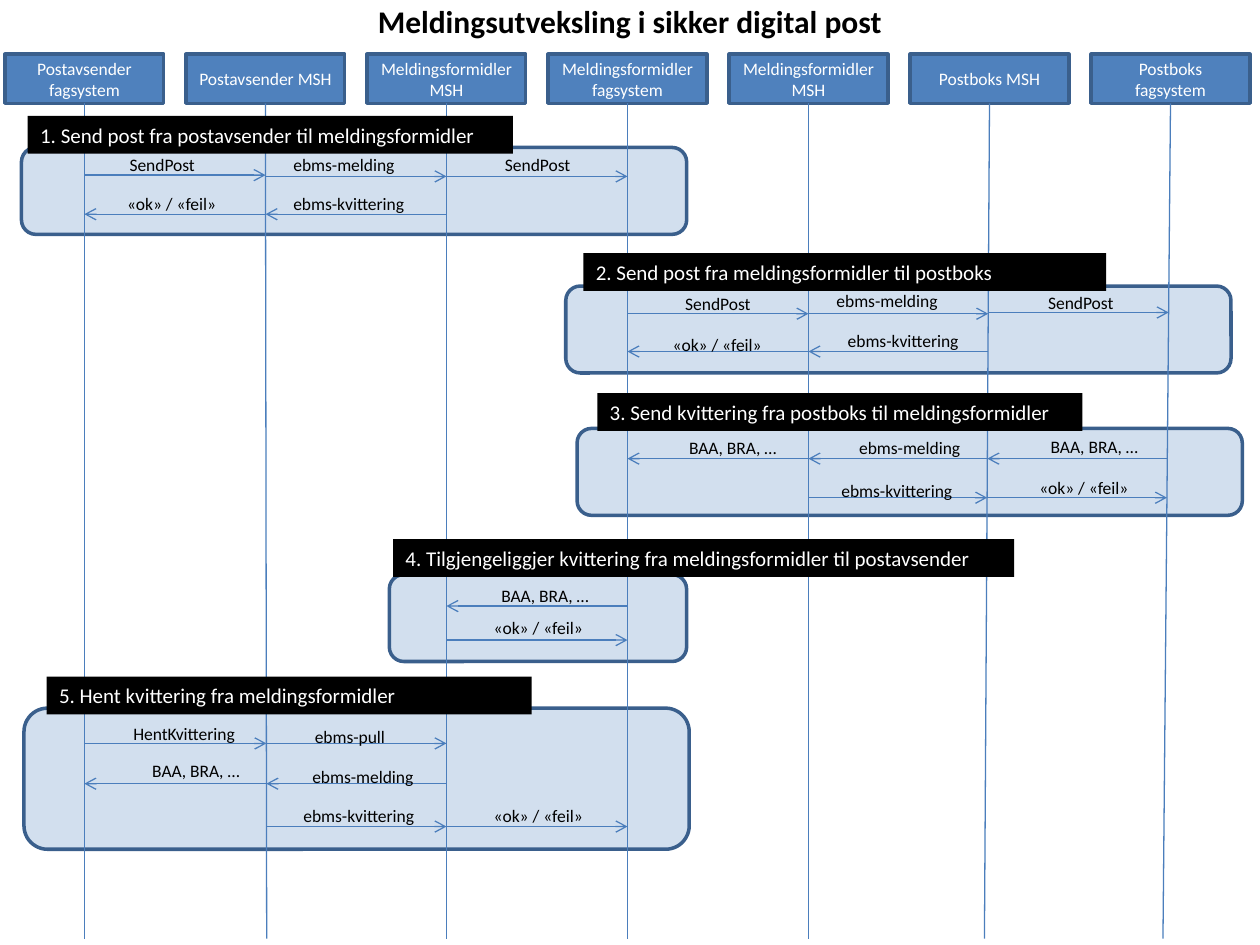
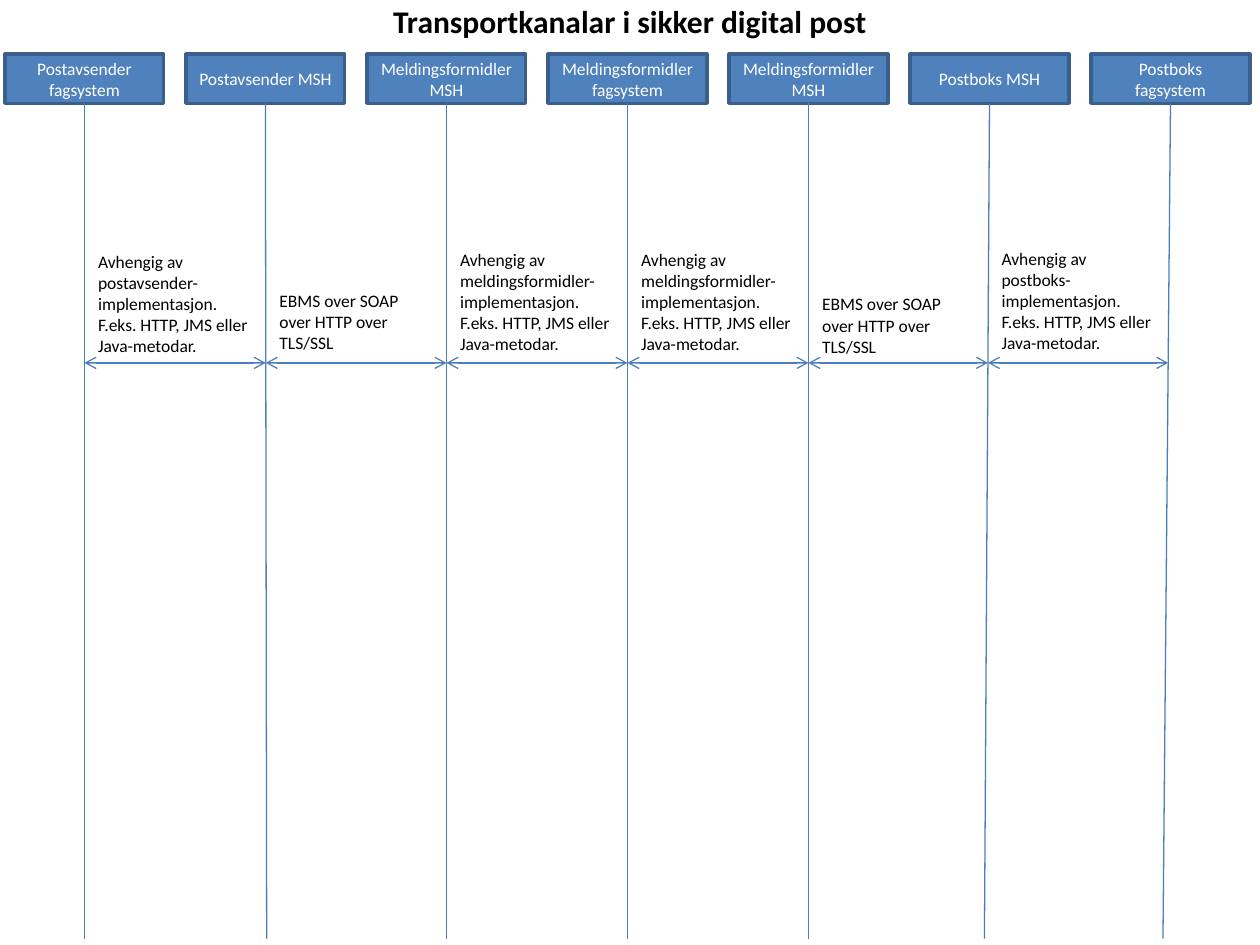
"""Build two sequence diagrams about secure digital post."""
from collections import namedtuple

from lxml.etree import SubElement
from pptx import Presentation
from pptx.dml.color import RGBColor
from pptx.enum.shapes import MSO_CONNECTOR as Connector, MSO_SHAPE as Shape
from pptx.enum.text import MSO_ANCHOR as Anchor, MSO_AUTO_SIZE as AutoSize, PP_ALIGN as Align
from pptx.oxml.ns import qn
from pptx.util import Inches, Pt

COLOURS = {
    "box": "4F81BD",
    "border": "3A5F8C",
    "line": "4B7EBC",
    "black": "000000",
    "white": "FFFFFF",
}
FONT = "Calibri"
PANEL_ALPHA = 25

LANES = [
    "Postavsender fagsystem",
    "Postavsender MSH",
    "Meldingsformidler MSH",
    "Meldingsformidler fagsystem",
    "Meldingsformidler MSH",
    "Postboks MSH",
    "Postboks fagsystem",
]
LANE_PITCH = 8.62 / 6
LANE_LEFT = 0.67
LANE_TOP, LANE_BOTTOM = 0.82, 7.45
LANE_DRIFT = [0, 0.01, 0, 0, 0, -0.04, -0.06]
HEADER_LEFT, HEADER_TOP = 0.04, 0.43
HEADER_WIDTH, HEADER_HEIGHT = 1.26, 0.39

Section = namedtuple("Section", "title bar panel messages")
Message = namedtuple("Message", "start end y text left top")

SECTIONS = [
    Section("1. Send post fra postavsender til meldingsformidler",
            (0.22, 0.92, 3.85), (0.17, 1.17, 5.28, 0.69), [
                Message(0, 1, 1.39, "SendPost", 0.93, 1.17),
                Message(1, 2, 1.4, "ebms-melding", 2.23, 1.17),
                Message(2, 3, 1.4, "SendPost", 3.91, 1.17),
                Message(2, 1, 1.7, "ebms-kvittering", 2.23, 1.48),
                Message(1, 0, 1.7, "«ok» / «feil»", 0.91, 1.48),
            ]),
    Section("2. Send post fra meldingsformidler til postboks",
            (4.63, 2.01, 4.15), (4.49, 2.27, 5.28, 0.69), [
                Message(3, 4, 2.49, "SendPost", 5.34, 2.28),
                Message(4, 5, 2.49, "ebms-melding", 6.54, 2.25),
                Message(5, 6, 2.48, "SendPost", 8.22, 2.27),
                Message(5, 4, 2.79, "ebms-kvittering", 6.63, 2.57),
                Message(4, 3, 2.79, "«ok» / «feil»", 5.24, 2.6),
            ]),
    Section("3. Send kvittering fra postboks til meldingsformidler",
            (4.74, 3.12, 3.85), (4.58, 3.4, 5.28, 0.69), [
                Message(6, 5, 3.64, "BAA, BRA, …", 8.24, 3.41),
                Message(5, 4, 3.64, "ebms-melding", 6.72, 3.42),
                Message(4, 3, 3.64, "BAA, BRA, …", 5.37, 3.42),
                Message(4, 5, 3.95, "ebms-kvittering", 6.58, 3.76),
                Message(5, 6, 3.95, "«ok» / «feil»", 8.15, 3.74),
            ]),
    Section("4. Tilgjengeliggjer kvittering fra meldingsformidler til postavsender",
            (3.12, 4.28, 4.93), (3.09, 4.56, 2.36, 0.69), [
                Message(3, 2, 4.81, "BAA, BRA, …", 3.88, 4.59),
                Message(2, 3, 5.08, "«ok» / «feil»", 3.82, 4.85),
            ]),
    Section("5. Hent kvittering fra meldingsformidler",
            (0.37, 5.37, 3.85), (0.19, 5.62, 5.28, 1.12), [
                Message(0, 1, 5.9, "HentKvittering", 0.96, 5.69),
                Message(1, 2, 5.9, "ebms-pull", 2.4, 5.71),
                Message(2, 1, 6.22, "ebms-melding", 2.38, 6.03),
                Message(1, 0, 6.22, "BAA, BRA, …", 1.11, 5.98),
                Message(1, 2, 6.56, "ebms-kvittering", 2.31, 6.34),
                Message(2, 3, 6.56, "«ok» / «feil»", 3.82, 6.34),
            ]),
]
LABEL_WIDTHS = {
    "SendPost": 0.73,
    "ebms-melding": 1.01,
    "ebms-kvittering": 1.1,
    "ebms-pull": 0.76,
    "HentKvittering": 1.03,
    "BAA, BRA, …": 0.91,
    "«ok» / «feil»": 0.92,
}

LOCAL_CHANNEL = "Avhengig av {}- implementasjon. F.eks. HTTP, JMS eller Java-metodar."
EBMS_CHANNEL = "EBMS over SOAP over HTTP over TLS/SSL"
CHANNELS = [
    (LOCAL_CHANNEL.format("postavsender"), 1.94, 0.94),
    (EBMS_CHANNEL, 2.25, 0.61),
    (LOCAL_CHANNEL.format("meldingsformidler"), 1.93, 0.94),
    (LOCAL_CHANNEL.format("meldingsformidler"), 1.93, 0.94),
    (EBMS_CHANNEL, 2.28, 0.61),
    (LOCAL_CHANNEL.format("postboks"), 1.92, 0.94),
]
CHANNEL_Y = 2.88


def colour(name):
    return RGBColor.from_string(COLOURS[name])


def write_text(shape, text, size=10, color="black", bold=False, align=Align.LEFT,
               anchor=Anchor.TOP, wrap=True, grow=True):
    frame = shape.text_frame
    frame.word_wrap = wrap
    frame.auto_size = AutoSize.SHAPE_TO_FIT_TEXT if grow else AutoSize.NONE
    frame.vertical_anchor = anchor
    paragraph = frame.paragraphs[0]
    paragraph.alignment = align
    run = paragraph.add_run()
    run.text = text
    run.font.name = FONT
    run.font.size = Pt(size)
    run.font.bold = bold
    run.font.color.rgb = colour(color)


def add_box(slide, bounds, fill, border=None, kind=Shape.RECTANGLE):
    shape = slide.shapes.add_shape(kind, *map(Inches, bounds))
    shape.shadow.inherit = False
    shape.fill.solid()
    shape.fill.fore_color.rgb = colour(fill)
    if border:
        shape.line.color.rgb = colour(border)
        shape.line.width = Pt(2)
    else:
        shape.line.fill.background()
    return shape


def add_label(slide, bounds, text, **text_format):
    write_text(slide.shapes.add_textbox(*map(Inches, bounds)), text, **text_format)


def add_line(slide, start, end, arrowheads=()):
    connector = slide.shapes.add_connector(Connector.STRAIGHT, *map(Inches, start + end))
    connector.line.color.rgb = colour("line")
    connector.line.width = Pt(0.75)
    properties = connector._element.spPr
    for arrowhead in arrowheads:
        SubElement(properties.find(qn("a:ln")), qn(f"a:{arrowhead}"), type="arrow")
    SubElement(properties, qn("a:effectLst"))


def lane_x(lane, y):
    fraction = (y - LANE_TOP) / (LANE_BOTTOM - LANE_TOP)
    return LANE_LEFT + lane * LANE_PITCH + LANE_DRIFT[lane] * fraction


def add_title(slide, text):
    bar = add_box(slide, (0, -0.03, 10, 0.4), "white")
    write_text(bar, text, size=18, bold=True, align=Align.CENTER)


def add_lanes(slide):
    for lane, name in enumerate(LANES):
        left = HEADER_LEFT + lane * LANE_PITCH
        header = add_box(slide, (left, HEADER_TOP, HEADER_WIDTH, HEADER_HEIGHT), "box", "border")
        write_text(header, name, color="white", align=Align.CENTER,
                   anchor=Anchor.MIDDLE, grow=False)
    for lane in range(len(LANES)):
        add_line(slide, (lane_x(lane, LANE_TOP), LANE_TOP),
                 (lane_x(lane, LANE_BOTTOM), LANE_BOTTOM))


def add_lane_arrow(slide, start, end, y, arrowheads=("tailEnd",)):
    add_line(slide, (lane_x(start, y), y), (lane_x(end, y), y), arrowheads)


def add_panel(slide, bounds):
    panel = add_box(slide, bounds, "box", "border", Shape.ROUNDED_RECTANGLE)
    fill_colour = panel._element.spPr.find(qn("a:solidFill"))[0]
    SubElement(fill_colour, qn("a:alpha"), val=str(PANEL_ALPHA * 1000))


def add_message(slide, message):
    add_lane_arrow(slide, message.start, message.end, message.y)
    bounds = (message.left, message.top, LABEL_WIDTHS[message.text], 0.27)
    add_label(slide, bounds, message.text, wrap=False)


def build_messages(slide):
    for section in SECTIONS:
        add_panel(slide, section.panel)
    add_lanes(slide)
    for section in SECTIONS:
        for message in section.messages:
            add_message(slide, message)
    for section in SECTIONS:
        bar = add_box(slide, (*section.bar, 0.3), "black")
        write_text(bar, section.title, size=12, color="white")
    add_title(slide, "Meldingsutveksling i sikker digital post")


def build_channels(slide):
    add_lanes(slide)
    add_title(slide, "Transportkanalar i sikker digital post")
    for lane, (text, top, height) in enumerate(CHANNELS):
        add_lane_arrow(slide, lane, lane + 1, CHANNEL_Y, ("headEnd", "tailEnd"))
        add_label(slide, (lane_x(lane, CHANNEL_Y) + 0.01, top, 1.42, height), text)


def main():
    presentation = Presentation()
    presentation.slide_width = Inches(10)
    presentation.slide_height = Inches(7.5)
    blank = presentation.slide_layouts[6]
    for build in (build_messages, build_channels):
        build(presentation.slides.add_slide(blank))
    presentation.save("out.pptx")


main()
